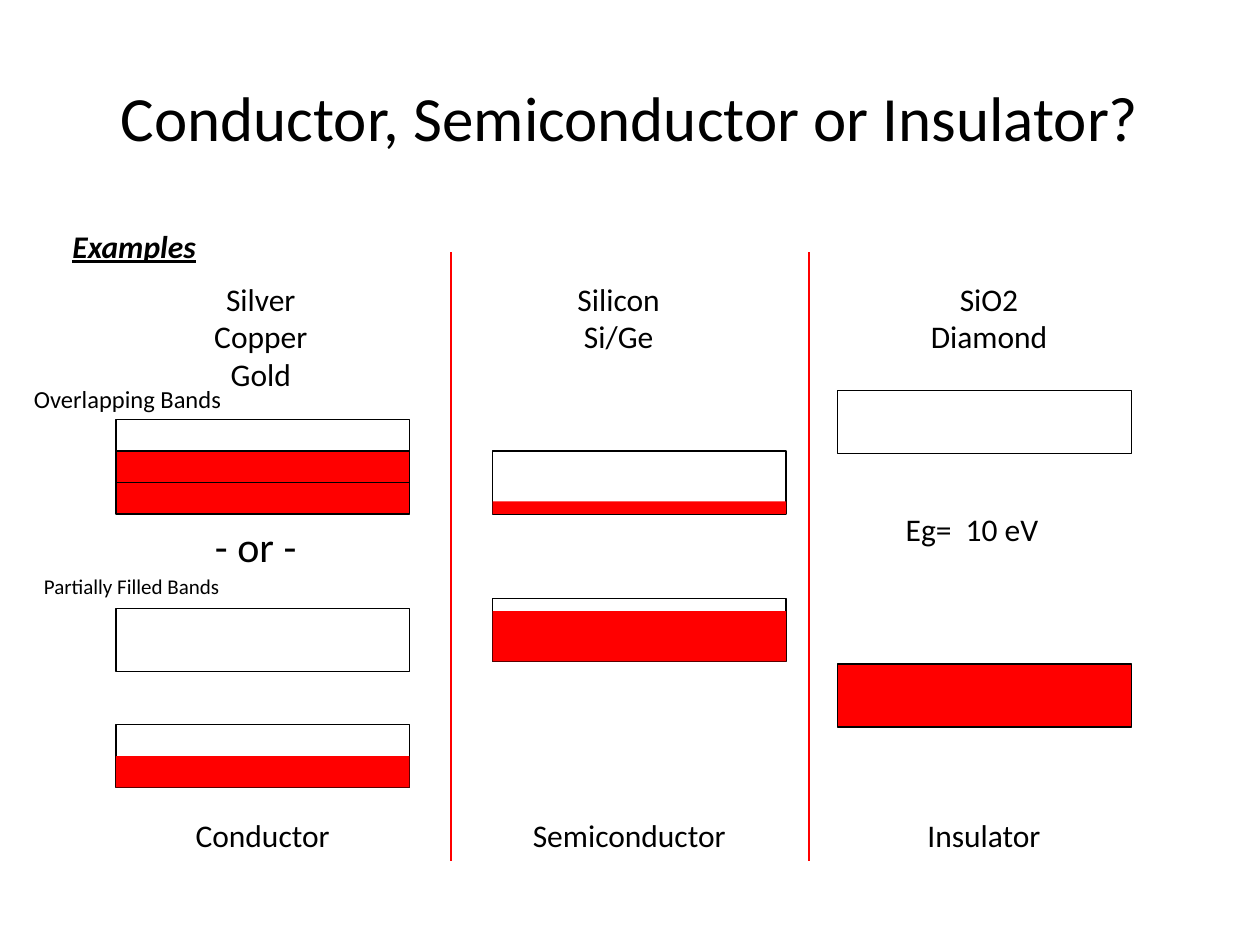
from lxml.etree import SubElement
from pptx import Presentation
from pptx.dml.color import RGBColor
from pptx.enum.shapes import MSO_CONNECTOR, MSO_SHAPE
from pptx.enum.text import MSO_ANCHOR, PP_ALIGN
from pptx.oxml.ns import qn
from pptx.util import Inches, Pt

FONT = "Calibri"
BLACK = "000000"
RED = "FF0000"
BAND_W = 2.33
BAND_H = 0.5
CONDUCTOR_X, SEMI_X, INSULATOR_X = 0.92, 3.91, 6.65


def rgb(value):
    return RGBColor.from_string(value)


def add_run(p, text, size, emphasis=False):
    r = p.add_run()
    r.text = text
    r.font.name = FONT
    r.font.size = Pt(size)
    r.font.color.rgb = rgb(BLACK)
    if emphasis:
        r.font.bold = r.font.italic = r.font.underline = True


def add_title(s, text):
    sp = s.shapes.title
    sp.left, sp.top = Inches(0.5), Inches(0.3)
    sp.width, sp.height = Inches(9), Inches(1.25)
    tf = sp.text_frame
    tf.vertical_anchor = MSO_ANCHOR.MIDDLE
    p = tf.paragraphs[0]
    p.alignment = PP_ALIGN.CENTER
    add_run(p, text, 36)


def add_label(s, lines, x, y, w, h, size=18, align=PP_ALIGN.CENTER, emphasis=False, wrap=False):
    sp = s.shapes.add_textbox(Inches(x), Inches(y), Inches(w), Inches(h))
    tf = sp.text_frame
    tf.word_wrap = wrap
    for i, line in enumerate(lines):
        p = tf.add_paragraph() if i else tf.paragraphs[0]
        p.alignment = align
        add_run(p, line, size, emphasis)


def add_band(s, x, y, h=BAND_H, fill=None, outline=True):
    sp = s.shapes.add_shape(MSO_SHAPE.RECTANGLE, Inches(x), Inches(y), Inches(BAND_W), Inches(h))
    sp.shadow.inherit = False
    if fill:
        sp.fill.solid()
        sp.fill.fore_color.rgb = rgb(fill)
    else:
        sp.fill.background()
    if outline:
        sp.line.color.rgb = rgb(BLACK)
        sp.line.width = Pt(0.75)
    else:
        sp.line.fill.background()


def add_partial_band(s, x, y, filled):
    add_band(s, x, y)
    add_band(s, x, y + BAND_H - filled, filled, RED, outline=False)


def add_divider(s, x):
    cn = s.shapes.add_connector(MSO_CONNECTOR.STRAIGHT, Inches(x), Inches(2), Inches(x), Inches(6.83))
    cn.line.color.rgb = rgb(RED)
    cn.line.width = Pt(1)
    SubElement(cn._element.spPr, qn("a:effectLst"))


def main():
    prs = Presentation()
    prs.slide_width, prs.slide_height = Inches(10), Inches(7.5)
    s = prs.slides.add_slide(prs.slide_layouts[5])
    add_title(s, "Conductor, Semiconductor or Insulator?")

    add_band(s, CONDUCTOR_X, 3.58, fill=RED)
    add_band(s, CONDUCTOR_X, 3.33)
    add_band(s, CONDUCTOR_X, 4.83)
    add_partial_band(s, CONDUCTOR_X, 5.75, 0.25)
    add_partial_band(s, SEMI_X, 3.58, 0.1)
    add_partial_band(s, SEMI_X, 4.75, 0.4)
    add_band(s, INSULATOR_X, 3.1)
    add_band(s, INSULATOR_X, 5.27, fill=RED)

    for x in (3.58, 6.42):
        add_divider(s, x)

    for name, x, w in (("Conductor", 1.41, 1.35), ("Semiconductor", 4.06, 1.87), ("Insulator", 7.23, 1.16)):
        add_label(s, [name], x, 6.43, w, 0.4)

    add_label(s, ["Examples"], 0.38, 1.75, 1.37, 0.4, emphasis=True)
    add_label(s, ["Silver", "Copper", "Gold"], 1.56, 2.17, 1.02, 1)
    add_label(s, ["Silicon", "Si/Ge"], 4.44, 2.17, 0.94, 1)
    add_label(s, ["SiO2", "Diamond"], 7.25, 2.17, 1.2, 1, wrap=True)

    add_label(s, ["Overlapping Bands"], 0.17, 3, 1.85, 0.33, 14, PP_ALIGN.LEFT)
    add_label(s, ["- or -"], 1.58, 4.08, 0.9, 0.5, 24)
    add_label(s, ["Partially Filled Bands"], 0.25, 4.5, 1.75, 0.3, 12, PP_ALIGN.LEFT)
    add_label(s, ["Eg=  10 eV"], 7.08, 4, 1.27, 0.4)

    prs.save("out.pptx")


if __name__ == "__main__":
    main()
